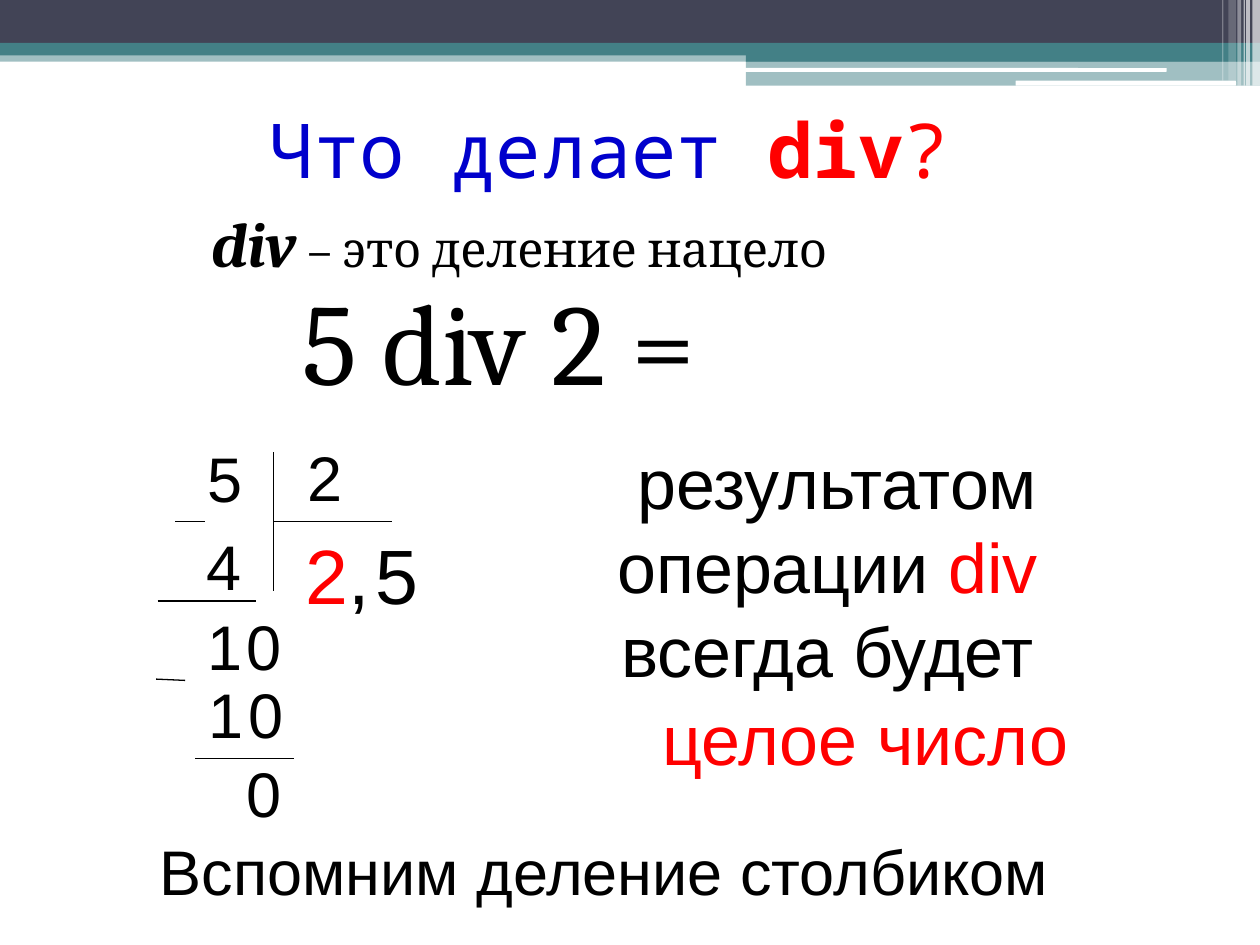
from typing import NamedTuple

from lxml import etree
from pptx import Presentation
from pptx.dml.color import RGBColor
from pptx.enum.shapes import MSO_CONNECTOR, MSO_SHAPE
from pptx.enum.text import MSO_ANCHOR, MSO_AUTO_SIZE, PP_ALIGN
from pptx.oxml.ns import qn
from pptx.util import Inches, Pt

COLORS = {
    "navy": "424456",
    "teal": "438086",
    "white": "FFFFFF",
    "black": "000000",
    "red": "FF0000",
    "blue": "0000CC",
}


class Band(NamedTuple):
    left: float
    top: float
    width: float
    height: float
    color: str
    opacity: int = 100
    rounded: bool = False


class Span(NamedTuple):
    text: str
    size: float
    color: str = "black"
    font: str = "Arial"
    bold: bool = False
    italic: bool = False


class Digit(NamedTuple):
    text: str
    left: float
    top: float
    width: float = 0.48
    size: int = 36
    color: str = "black"


class Rule(NamedTuple):
    x1: float
    y1: float
    x2: float
    y2: float


def color_of(name: str) -> RGBColor:
    return RGBColor.from_string(COLORS[name])


def draw_band(page, band: Band) -> None:
    kind = MSO_SHAPE.ROUNDED_RECTANGLE if band.rounded else MSO_SHAPE.RECTANGLE
    shape = page.shapes.add_shape(kind, Inches(band.left), Inches(band.top),
                                  Inches(band.width), Inches(band.height))
    shape.shadow.inherit = False
    shape.line.fill.background()
    shape.fill.solid()
    shape.fill.fore_color.rgb = color_of(band.color)
    if band.opacity < 100:
        fill_color = shape._element.spPr.find(qn("a:solidFill"))[0]
        etree.SubElement(fill_color, qn("a:alpha"), val=str(band.opacity * 1000))


def draw_text(page, left: float, top: float, width: float, height: float,
              lines: list[list[Span]], align=PP_ALIGN.LEFT, wrap: bool = True):
    box = page.shapes.add_textbox(Inches(left), Inches(top), Inches(width), Inches(height))
    frame = box.text_frame
    frame.word_wrap = wrap
    frame.auto_size = MSO_AUTO_SIZE.NONE if wrap else MSO_AUTO_SIZE.SHAPE_TO_FIT_TEXT
    for index, spans in enumerate(lines):
        para = frame.add_paragraph() if index else frame.paragraphs[0]
        para.alignment = align
        for span in spans:
            run = para.add_run()
            run.text = span.text
            run.font.size = Pt(span.size)
            run.font.name = span.font
            run.font.bold = span.bold
            run.font.italic = span.italic
            run.font.color.rgb = color_of(span.color)
    return frame


def draw_digit(page, digit: Digit) -> None:
    height = 0.71 if digit.size == 36 else 0.84
    draw_text(page, digit.left, digit.top, digit.width, height,
              [[Span(digit.text, digit.size, digit.color)]], wrap=False)


def draw_rule(page, rule: Rule) -> None:
    line = page.shapes.add_connector(MSO_CONNECTOR.STRAIGHT, Inches(rule.x1), Inches(rule.y1),
                                     Inches(rule.x2), Inches(rule.y2))
    line.line.color.rgb = color_of("black")
    line.line.width = Pt(0.75)
    etree.SubElement(line._element.spPr, qn("a:effectLst"))


BANDS = [
    Band(0, 0.4, 10, 0.09, "teal", 50),
    Band(0, 0, 10, 0.34, "navy"),
    Band(0, 0.34, 10, 0.1, "teal"),
    Band(5.92, 0.39, 4.08, 0.1, "teal"),
    Band(5.92, 0.48, 4.08, 0.2, "teal", 50),
    Band(5.91, 0.54, 3.35, 0.03, "white", rounded=True),
    Band(8.06, 0.64, 1.75, 0.04, "white", rounded=True),
    # Thin vertical stripes in the corner
    Band(9.94, 0, 0.06, 0.68, "white", 65),
    Band(9.89, 0, 0.03, 0.68, "white", 65),
    Band(9.87, 0, 0.01, 0.68, "white", 60),
    Band(9.82, 0, 0.03, 0.68, "white", 40),
    Band(9.75, 0, 0.06, 0.64, "white", 20),
    Band(9.7, 0, 0.01, 0.64, "white", 30),
]

DIGITS = [
    Digit("5", 1.55, 3.44),
    Digit("4", 1.54, 4.14),
    Digit("2", 2.34, 3.43),
    Digit("2", 2.33, 4.14, 0.55, 44, "red"),
    Digit(",", 2.67, 4.14, 0.37, 44),
    Digit("5", 2.88, 4.14, 0.55, 44),
    Digit("1", 1.55, 4.77),
    Digit("0", 1.86, 4.77),
    Digit("1", 1.56, 5.31),
    Digit("0", 1.87, 5.31),
    Digit("0", 1.86, 5.94),
]

RULES = [
    Rule(2.17, 3.59, 2.17, 4.69),
    Rule(2.17, 4.14, 3.11, 4.14),
    Rule(1.25, 4.77, 2.03, 4.77),
    Rule(1.55, 6.02, 2.33, 6.02),
    # Minus signs
    Rule(1.39, 4.14, 1.63, 4.14),
    Rule(1.24, 5.39, 1.47, 5.4),
]


def main() -> None:
    deck = Presentation()
    deck.slide_width, deck.slide_height = Inches(10), Inches(7.5)
    page = deck.slides.add_slide(deck.slide_layouts[6])

    # Header decoration
    for band in BANDS:
        draw_band(page, band)

    # Title
    title = draw_text(page, 0.78, 0.78, 8.23, 0.79, [[
        Span("Что делает ", 43.2, "blue", "Noto Sans Mono"),
        Span("div", 43.2, "red", "Noto Sans Mono", bold=True),
        Span("?", 43.2, "red", "Noto Sans Mono"),
        Span(" ", 36, "red", "Roboto"),
    ]], PP_ALIGN.CENTER)
    title.vertical_anchor = MSO_ANCHOR.MIDDLE

    # Definition and example
    definition = draw_text(page, 0.31, 1.64, 7.5, 1.72, [
        [Span("div", 36, font="Cambria", bold=True, italic=True),
         Span(" – это деление нацело", 28, font="Cambria")],
        [Span("5 div 2 = ", 66, font="Cambria")],
    ], PP_ALIGN.CENTER)
    for para in definition.paragraphs:
        para.line_spacing = 0.9
        para.space_before = Pt(3)
    first_line = definition.paragraphs[0]._p.get_or_add_pPr()
    first_line.set("marL", str(Inches(0.4)))
    first_line.set("indent", str(Inches(-0.28)))

    # Conclusion
    draw_text(page, 3.91, 3.44, 5.47, 2.12, [
        [Span("результатом операции ", 40), Span("div ", 40, "red")],
        [Span("всегда будет ", 40)],
    ], PP_ALIGN.CENTER)
    draw_text(page, 5.16, 5.47, 3.44, 0.77, [[Span("целое число", 40, "red")]])

    # Long division
    for digit in DIGITS:
        draw_digit(page, digit)
    for rule in RULES:
        draw_rule(page, rule)
    draw_text(page, 1.17, 6.56, 7.32, 0.71, [[Span("Вспомним деление столбиком", 36)]], wrap=False)

    deck.save("out.pptx")


if __name__ == "__main__":
    main()
